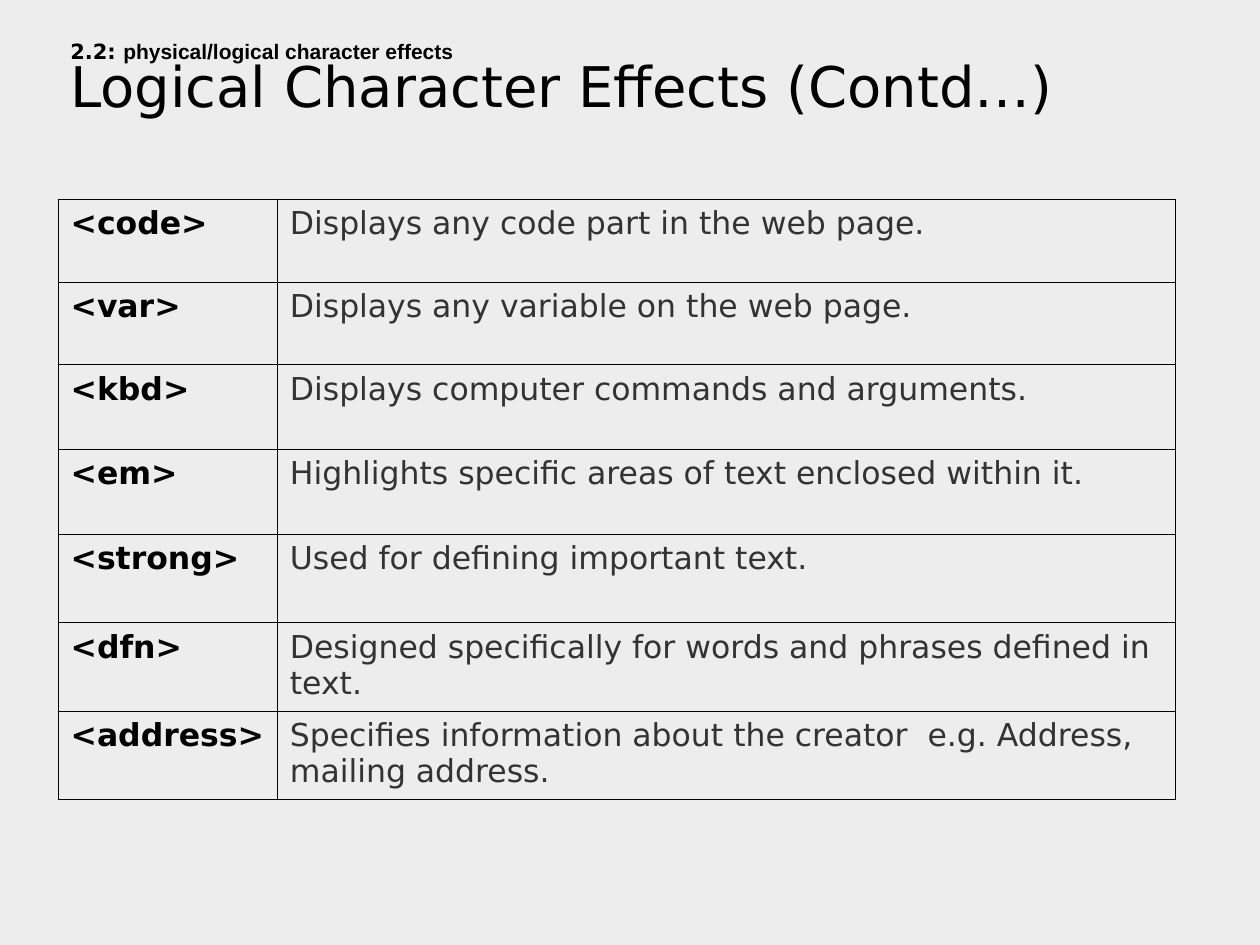
from lxml import etree
from pptx import Presentation
from pptx import util as u
from pptx.dml.color import RGBColor
from pptx.enum import text
from pptx.oxml.ns import qn

HEAD = [
    ("2.2: ", "small", "sans", True),
    ("physical/logical character effects ", "small", "arial", True),
    ("Logical Character Effects (Contd…)", "large", "sans", False),
]
TAGS = [
    ("<code>", "Displays any code part in the web page."),
    ("<var>", "Displays any variable on the web page."),
    ("<kbd>", "Displays computer commands and arguments."),
    ("<em>", "Highlights specific areas of text enclosed within it."),
    ("<strong>", "Used for defining important text."),
    ("<dfn>", "Designed specifically for words and phrases defined in text."),
    ("<address>", "Specifies information about the creator  e.g. Address, mailing address."),
]
COLS = [4.42, 18.11]
ROWS = [1.67] * 2 + [1.71] * 2 + [1.78] * 3
THEME = {
    "sans": "DejaVu Sans", "arial": "Arial",
    "small": 12, "body": 18, "large": 32,
    "back": "EDEDED", "ink": "000000", "grey": "333333",
    "outer": 0.5, "inner": 0.23,
}


def style(run, size, face, bold, ink="ink"):
    font = run.font
    font.size = u.Pt(THEME[size])
    font.name = THEME[face]
    font.bold = bold
    font.color.rgb = RGBColor.from_string(THEME[ink])


def border(cell, edges):
    props = cell._tc.get_or_add_tcPr()
    for spot, (side, outer) in enumerate(edges.items()):
        width = u.Pt(THEME["outer" if outer else "inner"])
        line = etree.Element(qn("a:ln" + side), w=str(int(width)))
        fill = etree.SubElement(line, qn("a:solidFill"))
        etree.SubElement(fill, qn("a:srgbClr"), val=THEME["ink"])
        props.insert(spot, line)


def add_grid(slide):
    frame = slide.shapes.add_table(
        len(ROWS), len(COLS), u.Cm(1.17), u.Cm(4.01),
        u.Cm(sum(COLS)), u.Cm(sum(ROWS)))
    grid = frame.table
    grid.first_row = grid.horz_banding = False
    for col, width in zip(grid.columns, COLS):
        col.width = u.Cm(width)
    for row, height in zip(grid.rows, ROWS):
        row.height = u.Cm(height)
    for r, pair in enumerate(TAGS):
        for c, words in enumerate(pair):
            cell = grid.cell(r, c)
            cell.fill.background()
            cell.text_frame.text = words
            run = cell.text_frame.paragraphs[0].runs[0]
            style(run, "body", "sans", c == 0, "grey" if c else "ink")
            border(cell, {"L": c == 0, "R": c == len(COLS) - 1,
                          "T": r == 0, "B": r == len(ROWS) - 1})


def add_head(slide):
    box = slide.shapes.add_textbox(
        u.Cm(1.17), u.Cm(0.64), u.Cm(22.15), u.Cm(1.98))
    frame = box.text_frame
    frame.word_wrap = True
    frame.vertical_anchor = text.MSO_ANCHOR.MIDDLE
    para = frame.paragraphs[0]
    para.line_spacing = 0.8
    for words, size, face, bold in HEAD:
        if size == "large":
            para.add_line_break()
            etree.SubElement(para._p[-1], qn("a:rPr"),
                             sz=str(THEME["small"] * 100))
        run = para.add_run()
        run.text = words
        style(run, size, face, bold)


def main():
    deck = Presentation()
    deck.slide_width, deck.slide_height = u.Cm(25.4), u.Cm(19.05)
    slide = deck.slides.add_slide(deck.slide_layouts[6])
    fill = slide.background.fill
    fill.solid()
    fill.fore_color.rgb = RGBColor.from_string(THEME["back"])
    add_grid(slide)
    add_head(slide)
    deck.save("out.pptx")


if __name__ == "__main__":
    main()
